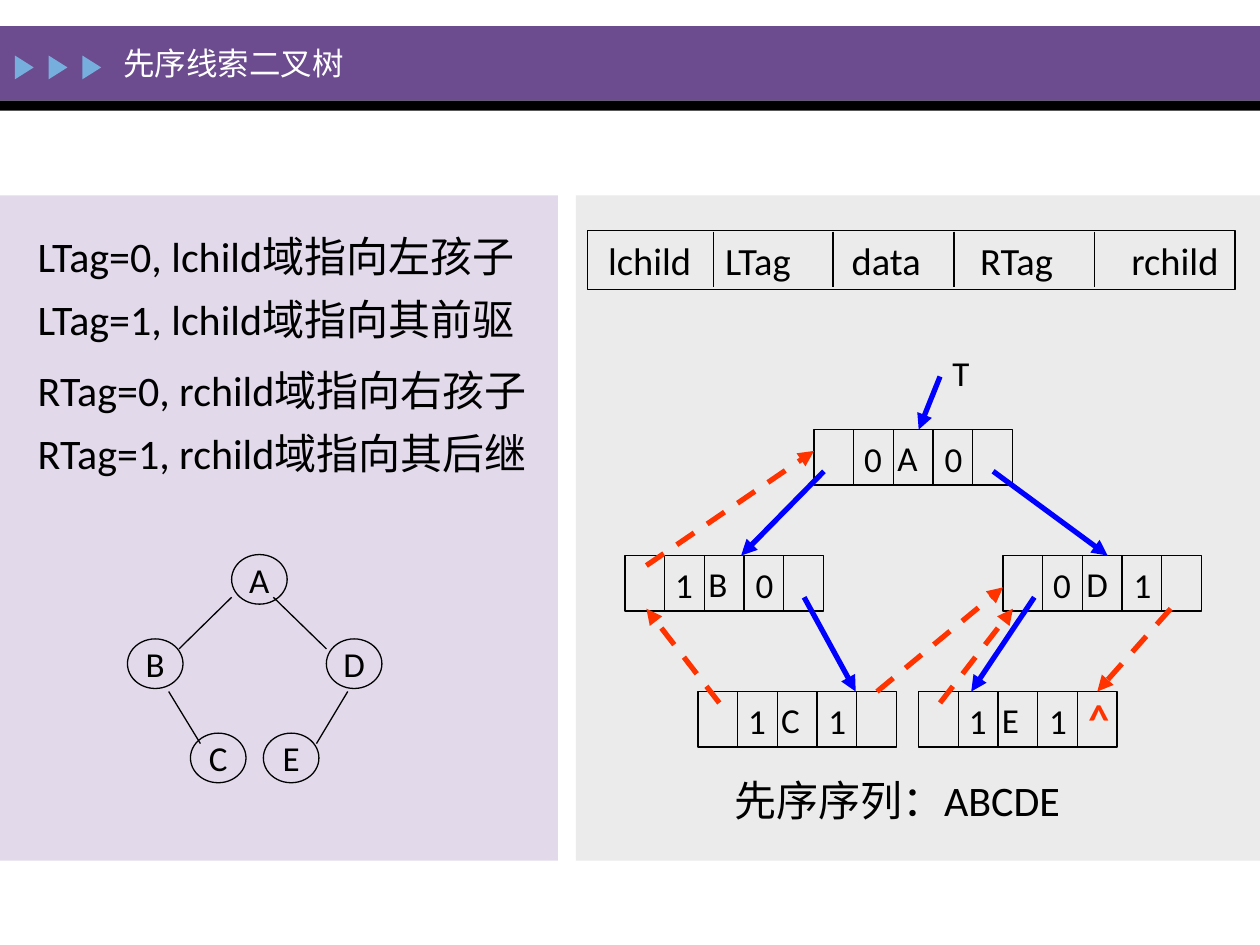
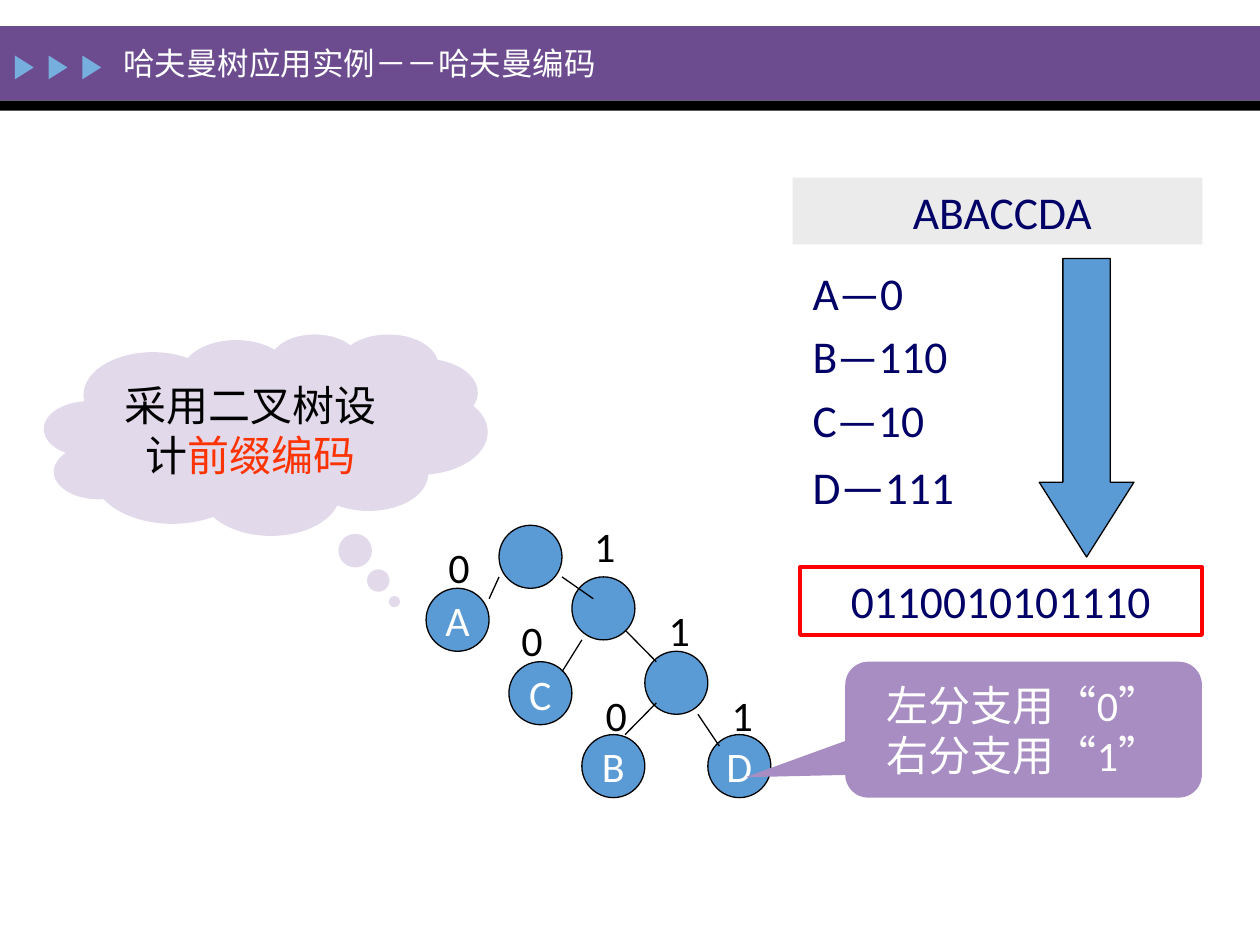
import pptx
import pptx.dml.color
import pptx.enum.dml
import pptx.enum.shapes
import pptx.enum.text
import pptx.oxml
import pptx.oxml.ns
import pptx.util

Cm = pptx.util.Cm
Pt = pptx.util.Pt
RGBColor = pptx.dml.color.RGBColor
SHAPE = pptx.enum.shapes.MSO_SHAPE
ALIGN = pptx.enum.text.PP_ALIGN
ANCHOR = pptx.enum.text.MSO_ANCHOR

BLACK = RGBColor(0x00, 0x00, 0x00)
WHITE = RGBColor(0xFF, 0xFF, 0xFF)
BAND = RGBColor(0x6C, 0x4C, 0x8F)
MARKER = RGBColor(0x76, 0xAE, 0xDD)
LILAC = RGBColor(0xE2, 0xD9, 0xEB)
PURPLE = RGBColor(0xA7, 0x8D, 0xC2)
GREY = RGBColor(0xEB, 0xEB, 0xEB)
SKY = RGBColor(0x5B, 0x9B, 0xD5)
NAVY = RGBColor(0x00, 0x00, 0x66)
BLUE = RGBColor(0x00, 0x00, 0xFF)
ORANGE = RGBColor(0xFF, 0x33, 0x00)
RED = RGBColor(0xFF, 0x00, 0x00)

MIDDLE = {"vertical_anchor": ANCHOR.MIDDLE, "word_wrap": True}
LABEL = {"vertical_anchor": ANCHOR.MIDDLE, "word_wrap": False}
CENTRED = {"alignment": ALIGN.CENTER}


def add_box(page, kind, place, paragraphs=(), fill=None, line=None, line_width=0.75,
            frame_format=None, paragraph_format=None, size=20, color=BLACK):
    """Add a shape, or a text box if kind is None; a paragraph is a string or a list of spans."""
    lengths = [Cm(value) for value in place]
    if kind is None:
        box = page.shapes.add_textbox(*lengths)
    else:
        box = page.shapes.add_shape(kind, *lengths)
        box.shadow.inherit = False
        if fill is None:
            box.fill.background()
        else:
            box.fill.solid()
            box.fill.fore_color.rgb = fill
        if line is None:
            box.line.fill.background()
        else:
            box.line.color.rgb = line
            box.line.width = Pt(line_width)
    frame = box.text_frame
    frame_values = {"word_wrap": True, "vertical_anchor": ANCHOR.TOP} | (frame_format or {})
    for name, value in frame_values.items():
        setattr(frame, name, value)
    for index, content in enumerate(paragraphs):
        paragraph = frame.add_paragraph() if index else frame.paragraphs[0]
        if isinstance(content, str):
            paragraph.text = content
        else:
            for words in content:
                paragraph.add_run().text = words
        for name, value in ({"alignment": ALIGN.LEFT} | (paragraph_format or {})).items():
            if index or name != "space_before":
                setattr(paragraph, name, value)
        for span in paragraph.runs:
            for name, value in {"name": "Calibri", "size": Pt(size)}.items():
                setattr(span.font, name, value)
            span.font.color.rgb = color
    return box


def add_line(page, ends, color=BLACK, width=0.75, dashed=False, arrow=False):
    connector = page.shapes.add_connector(
        pptx.enum.shapes.MSO_CONNECTOR.STRAIGHT, *[Cm(value) for value in ends])
    connector.line.color.rgb = color
    connector.line.width = Pt(width)
    if dashed:
        connector.line.dash_style = pptx.enum.dml.MSO_LINE.DASH
    properties = connector._element.spPr
    if arrow:
        tail = pptx.oxml.parse_xml(
            f'<a:tailEnd {pptx.oxml.ns.nsdecls("a")} type="triangle"/>')
        properties.find(pptx.oxml.ns.qn("a:ln")).append(tail)
    properties.append(pptx.oxml.parse_xml(f'<a:effectLst {pptx.oxml.ns.nsdecls("a")}/>'))


deck = pptx.Presentation()
deck.slide_width = Cm(25.4)
deck.slide_height = Cm(19.05)

# Header band, markers and title on every slide
pages = []
for title in ("先序线索二叉树", "哈夫曼树应用实例－－哈夫曼编码"):
    page = deck.slides.add_slide(deck.slide_layouts[6])
    add_box(page, SHAPE.RECTANGLE, (0, 0.53, 25.4, 1.5), fill=BAND)
    add_box(page, SHAPE.RECTANGLE, (0, 2.03, 25.4, 0.2), fill=BLACK)
    for step in range(3):
        marker = add_box(page, SHAPE.ISOSCELES_TRIANGLE,
                         (0.25 + 0.68 * step, 1.17, 0.48, 0.38), fill=MARKER)
        marker.rotation = 90
    add_box(page, None, (2.24, 0.56, 16.31, 1.42), [title], frame_format=MIDDLE,
            size=18, color=WHITE)
    pages.append(page)
thread_page, huffman_page = pages

# Slide 1: preorder threaded binary tree
page = thread_page
add_box(page, SHAPE.RECTANGLE, (0, 3.94, 11.25, 13.41), fill=LILAC)
add_box(page, SHAPE.RECTANGLE, (11.61, 3.94, 13.79, 13.41), fill=GREY)
add_box(page, None, (0.51, 4.27, 10.74, 5.49),
        ["LTag=0, lchild域指向左孩子\vLTag=1, lchild域指向其前驱",
         "RTag=0, rchild域指向右孩子\vRTag=1, rchild域指向其后继"],
        paragraph_format={"line_spacing": 1.25, "space_before": Pt(4.8)}, size=24)

# Plain tree
for letter, left, top in (("A", 4.67, 11.18), ("B", 2.57, 12.88), ("C", 3.84, 14.78),
                          ("D", 6.58, 12.88), ("E", 5.31, 14.78)):
    add_box(page, SHAPE.OVAL, (left, top, 1.12, 1), [letter], line=BLACK,
            frame_format=LABEL, paragraph_format=CENTRED)
for edge in ((4.67, 12.04, 3.61, 13.08), (5.51, 12.04, 6.58, 13.08),
             (3.4, 13.94, 4.04, 14.99), (7.01, 13.94, 6.38, 14.99)):
    add_line(page, edge)

# Node layout
fields = add_box(page, SHAPE.RECTANGLE, (11.84, 4.65, 13.06, 1.19),
                 ["lchild\tLTag\tdata\tRTag\trchild"], line=BLACK,
                 frame_format=MIDDLE | {"margin_left": Cm(0.42)}, size=22)
tab_stops = "".join(f'<a:tab pos="{Cm(stop)}" algn="l"/>' for stop in (2.36, 4.91, 7.5, 10.55))
fields.text_frame.paragraphs[0]._p.get_or_add_pPr().append(pptx.oxml.parse_xml(
    f'<a:tabLst {pptx.oxml.ns.nsdecls("a")}>{tab_stops}</a:tabLst>'))
for x in (14.38, 16.79, 19.23, 22.07):
    add_line(page, (x, 4.67, x, 5.78))

# Linked nodes: letter, left, top, left tag, right tag
CELL = 0.8
for letter, left, top, left_tag, right_tag in (
        ("A", 16.41, 8.66, "0", "0"), ("B", 12.6, 11.2, "1", "0"),
        ("D", 20.22, 11.2, "0", "1"), ("C", 14.07, 13.94, "1", "1"),
        ("E", 18.52, 13.94, "1", "1")):
    add_box(page, SHAPE.RECTANGLE, (left, top, 5 * CELL, 1.12), [letter], line=BLACK,
            frame_format=MIDDLE | {"margin_left": Cm(1.68)})
    for cell in range(1, 5):
        x = left + cell * CELL
        add_line(page, (x, top, x, top + 1.1))
    for tag, offset in ((left_tag, 0.76), (right_tag, 2.38)):
        add_box(page, None, (left + offset, top + 0.03, 0.86, 1.09), [tag],
                frame_format=LABEL, paragraph_format=CENTRED)
null_link = add_box(page, None, (21.64, 13.84, 1.02, 1.27), ["^"], frame_format=LABEL,
                    paragraph_format=CENTRED, size=24, color=ORANGE)
null_link.text_frame.paragraphs[0].runs[0].font.bold = True

child_links = ((18.95, 7.59, 18.52, 8.66), (16.61, 9.5, 14.94, 11.2),
               (20.02, 9.5, 22.33, 11.2), (16.21, 12.04, 17.25, 13.94),
               (20.85, 12.04, 19.58, 13.94))
threads = ((13.03, 11.4, 16.41, 9.09), (14.5, 14.17, 13.03, 12.27),
           (17.68, 13.94, 20.22, 11.84), (23.6, 12.27, 22.12, 13.94),
           (18.95, 14.17, 20.42, 12.27))
for link in child_links:
    add_line(page, link, BLUE, 3, arrow=True)
for thread in threads:
    add_line(page, thread, ORANGE, 3, dashed=True, arrow=True)
add_box(page, None, (18.95, 6.96, 0.94, 1.09), ["T"], frame_format={"word_wrap": False})
add_box(page, None, (14.55, 15.49, 7.75, 1.27), ["先序序列：ABCDE"],
        frame_format={"word_wrap": False}, size=24)

# Slide 2: Huffman coding
page = huffman_page
for letter, left, top in (("", 10.06, 10.59), ("", 11.53, 11.63), ("", 13, 13.13),
                          ("A", 8.59, 11.86), ("C", 10.26, 13.34),
                          ("B", 11.73, 14.81), ("D", 14.27, 14.81)):
    add_box(page, SHAPE.OVAL, (left, top, 1.27, 1.27), [letter] if letter else (),
            fill=SKY, line=BLACK, frame_format=LABEL, paragraph_format=CENTRED,
            size=24, color=WHITE)
for edge in ((10.06, 11.63, 9.86, 12.07), (11.33, 11.63, 11.96, 12.07),
             (11.73, 12.9, 11.33, 13.54), (12.6, 12.7, 13.23, 13.34),
             (13.23, 14.17, 12.6, 14.81), (14.07, 14.4, 14.5, 15.04)):
    add_line(page, edge)
for bit, left, top in (("0", 8.79, 10.8), ("0", 10.26, 12.27), ("0", 11.96, 13.77),
                       ("1", 11.73, 10.36), ("1", 13.23, 12.07), ("1", 14.5, 13.77)):
    add_box(page, None, (left, top, 1.47, 1.27), [bit], size=24)

cloud = add_box(page, SHAPE.CLOUD_CALLOUT, (0.89, 6.73, 8.94, 4.06),
                [["采用二叉树设计", "前缀编码"]], fill=LILAC, frame_format=MIDDLE,
                paragraph_format=CENTRED, size=24)
cloud.text_frame.paragraphs[0].runs[1].font.color.rgb = ORANGE
branch_note = add_box(page, SHAPE.ROUNDED_RECTANGULAR_CALLOUT, (17.04, 13.34, 7.19, 2.74),
                      ["左分支用“0”", "右分支用“1”"], fill=PURPLE, frame_format=MIDDLE,
                      paragraph_format=CENTRED, size=24, color=WHITE)

codes = add_box(page, None, (16.13, 5.21, 3.86, 5.44),
                ["A—0", "B—110", "C—10", ["D", "—", "111"]],
                paragraph_format={"space_before": Pt(5.2)}, size=26, color=NAVY)
codes.text_frame.paragraphs[3].runs[1].font.size = Pt(28)
encode_arrow = add_box(page, SHAPE.DOWN_ARROW, (20.95, 5.21, 1.91, 6.02), fill=SKY, line=BLACK)
add_box(page, SHAPE.RECTANGLE, (16.13, 11.43, 8.1, 1.37), ["0110010101110"], line=RED,
        line_width=2.25, paragraph_format=CENTRED, size=26, color=NAVY)
add_box(page, SHAPE.RECTANGLE, (15.98, 3.58, 8.26, 1.35), ["ABACCDA"], fill=GREY,
        frame_format={"margin_left": Cm(0.45)}, paragraph_format=CENTRED, size=26, color=NAVY)

for shape, values in ((cloud, (0.29, 0.83)), (branch_note, (-0.78, 0.35, 0.17)),
                      (encode_arrow, (0.5, 0.79))):
    for index, value in enumerate(values):
        shape.adjustments[index] = value

deck.save("out.pptx")
